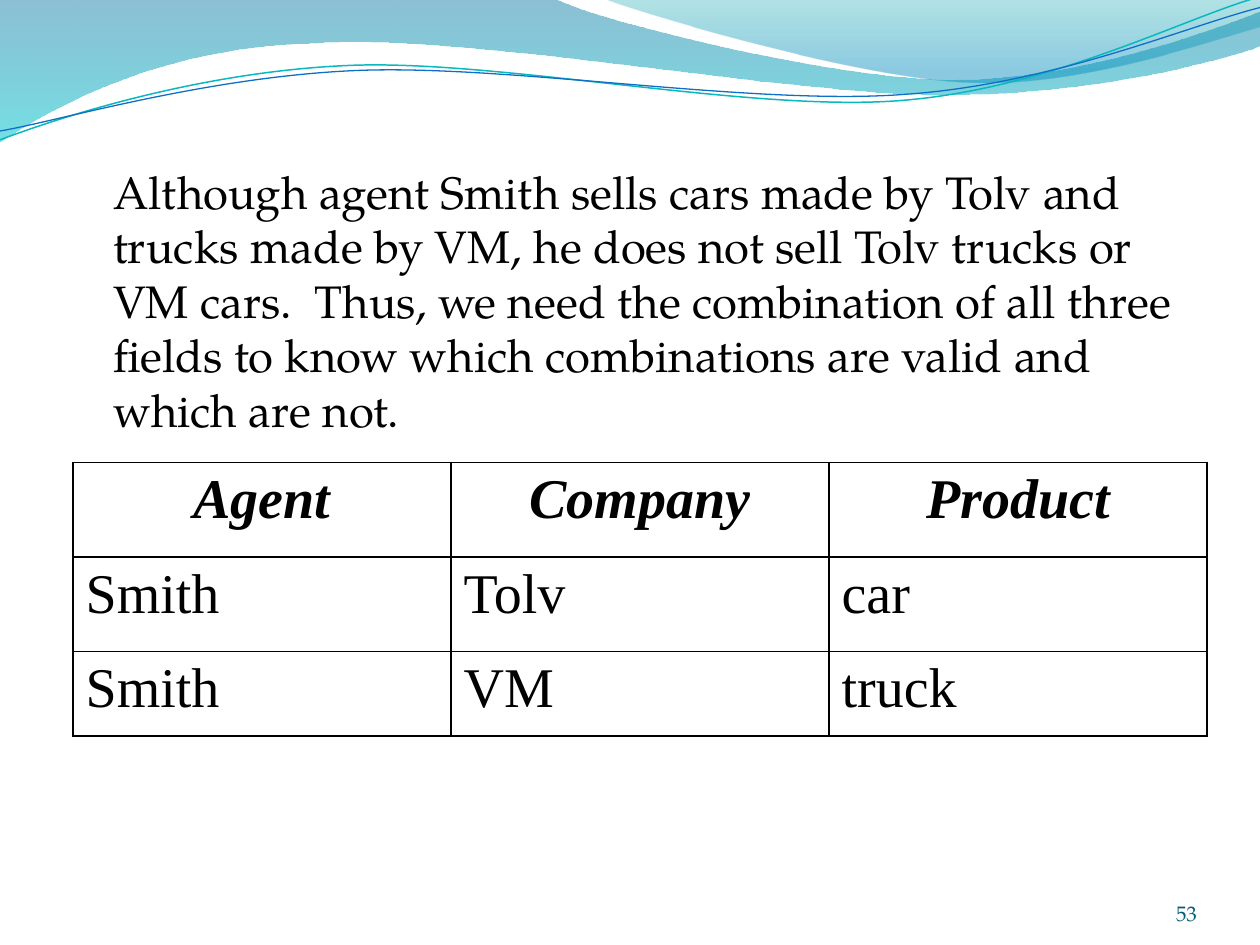
from lxml.etree import SubElement
from pptx import Presentation
from pptx.dml.color import RGBColor
from pptx.enum.text import MSO_ANCHOR, PP_ALIGN
from pptx.oxml.ns import qn
from pptx.util import Inches, Pt

COLORS = {
    "text": "000000", "border": "000000", "number": "045D75",
    "deep_blue": "0074A1", "cyan": "00C6CF", "teal": "00A1A9", "sky": "008BBF",
    "teal_line": "0AB8BF", "blue_line": "0F6FC6",
}
BODY_FONT = "TeX Gyre Pagella"
TABLE_FONT = "Times New Roman"

# Outlines in inches: a start point, then one point per line or three per Bézier curve
WIDE_WAVE = [[(0, 0)], [(4.4, -0.01)],
             [(4.76, 0.17), (6.64, 0.63), (7.58, 0.63)],
             [(8.53, 0.63), (9.58, 0.26), (10, 0.09)], [(10.01, 0.36)],
             [(9.83, 0.44), (8.7, 0.76), (7.46, 0.75)],
             [(6.22, 0.75), (3.82, 0.28), (2.57, 0.34)],
             [(1.29, 0.36), (0.46, 0.83), (-0.01, 1.13)]]
RIGHT_WAVE = [[(4.79, -0.01)],
              [(5.09, 0.11), (6.82, 0.62), (7.69, 0.65)],
              [(8.56, 0.69), (9.61, 0.32), (10, 0.21)], [(10, 0)]]
TEAL_CURVE = [[(0, 1.11)],
              [(0.48, 0.93), (1.58, 0.57), (2.77, 0.52)],
              [(3.95, 0.47), (5.93, 0.89), (7.13, 0.8)],
              [(8.33, 0.71), (9.38, 0.15), (9.98, -0.02)]]
BLUE_CURVE = [[(0, 1.04)],
              [(0.47, 0.96), (1.64, 0.61), (2.83, 0.56)],
              [(4.03, 0.51), (5.97, 0.84), (7.17, 0.75)],
              [(8.36, 0.67), (9.41, 0.21), (10, 0.06)]]

EXPLANATION = ("Although agent Smith sells cars made by Tolv and trucks made by VM, "
               "he does not sell Tolv trucks or VM cars.  Thus, we need the combination "
               "of all three fields to know which combinations are valid and which are not.")
SALES = [("Agent", "Company", "Product"),
         ("Smith", "Tolv", "car"),
         ("Smith", "VM", "truck")]


def rgb(name):
    return RGBColor.from_string(COLORS[name])


def add_run(paragraph, text, font_name, size, color):
    run = paragraph.add_run()
    run.text = text
    run.font.name = font_name
    run.font.size = Pt(size)
    run.font.color.rgb = rgb(color)
    return run


def add_outline(slide, left, top, outline, closed):
    points = [(left + Inches(x), top + Inches(y))
              for segment in outline for x, y in segment]
    builder = slide.shapes.build_freeform(*points[0])
    builder.add_line_segments(points[1:], close=closed)
    shape = builder.convert_to_shape()
    shape.shadow.inherit = False
    # Join each three points of a curve into one Bézier segment
    lines = iter(list(shape._element.iter(qn("a:lnTo"))))
    for segment in outline[1:]:
        group = [next(lines) for _ in segment]
        if len(group) == 3:
            bezier = group[0].makeelement(qn("a:cubicBezTo"), {})
            group[0].addprevious(bezier)
            for line in group:
                bezier.append(line[0])
                line.getparent().remove(line)
    return shape


def add_wave(slide, left, top, outline, stops):
    wave = add_outline(slide, left, top, outline, closed=True)
    wave.line.fill.background()
    wave.fill.gradient()
    gradient = wave._element.spPr.find(qn("a:gradFill"))
    for child in list(gradient):
        gradient.remove(child)
    stop_list = SubElement(gradient, qn("a:gsLst"))
    for position, color, opacity in stops:
        stop = SubElement(stop_list, qn("a:gs"), pos=str(position * 1000))
        value = SubElement(stop, qn("a:srgbClr"), val=COLORS[color])
        SubElement(value, qn("a:alpha"), val=str(opacity * 1000))
    SubElement(gradient, qn("a:lin"), ang="5400000", scaled="0")


def add_curve(slide, left, top, outline, color, width):
    curve = add_outline(slide, left, top, outline, closed=False)
    curve.fill.background()
    curve.line.color.rgb = rgb(color)
    curve.line.width = Pt(width)


def add_wave_banner(slide, left, top):
    add_wave(slide, left, top, WIDE_WAVE, [(0, "deep_blue", 45), (100, "cyan", 55)])
    add_wave(slide, left, top, RIGHT_WAVE, [(0, "teal", 30), (80, "sky", 45)])
    add_curve(slide, left, top, TEAL_CURVE, "teal_line", 0.85)
    add_curve(slide, left, top, BLUE_CURVE, "blue_line", 0.75)


def add_explanation(slide, left, top, width, height):
    frame = slide.shapes.add_textbox(left, top, width, height).text_frame
    frame.word_wrap = True
    paragraph = frame.paragraphs[0]
    paragraph.space_before = Pt(5)
    paragraph._p.get_or_add_pPr().set("marL", str(Inches(0.3)))
    add_run(paragraph, EXPLANATION, BODY_FONT, 26, "text")


def add_cell_borders(cell):
    properties = cell._tc.get_or_add_tcPr()
    for index, side in enumerate(("a:lnL", "a:lnR", "a:lnT", "a:lnB")):
        border = properties.makeelement(qn(side), {"w": str(Pt(1))})
        fill = SubElement(border, qn("a:solidFill"))
        SubElement(fill, qn("a:srgbClr"), val=COLORS["border"])
        properties.insert(index, border)


def add_sales_table(slide, left, top, width, row_heights):
    table = slide.shapes.add_table(len(SALES), len(SALES[0]), left, top,
                                   width, sum(row_heights)).table
    table.first_row = table.horz_banding = False
    for row, height in zip(table.rows, row_heights):
        row.height = height
    for row_index, record in enumerate(SALES):
        is_header = row_index == 0
        for column_index, value in enumerate(record):
            cell = table.cell(row_index, column_index)
            cell.fill.background()
            add_cell_borders(cell)
            paragraph = cell.text_frame.paragraphs[0]
            paragraph.alignment = PP_ALIGN.CENTER if is_header else PP_ALIGN.LEFT
            run = add_run(paragraph, value, TABLE_FONT, 32, "text")
            run.font.bold = run.font.italic = is_header


def add_slide_number(slide, left, top, width, height):
    frame = slide.shapes.add_textbox(left, top, width, height).text_frame
    frame.word_wrap = True
    frame.margin_left = frame.margin_right = frame.margin_top = frame.margin_bottom = 0
    frame.vertical_anchor = MSO_ANCHOR.BOTTOM
    frame.paragraphs[0].alignment = PP_ALIGN.RIGHT
    add_run(frame.paragraphs[0], "53", BODY_FONT, 12, "number")


def main():
    presentation = Presentation()
    presentation.slide_width, presentation.slide_height = Inches(10), Inches(7.5)
    slide = presentation.slides.add_slide(presentation.slide_layouts[6])
    add_wave_banner(slide, 0, 0)
    add_slide_number(slide, Inches(8.67), Inches(6.95), Inches(0.83), Inches(0.4))
    add_explanation(slide, Inches(0.5), Inches(1.25), Inches(9), Inches(2.25))
    add_sales_table(slide, Inches(0.58), Inches(3.67), Inches(9),
                    [Inches(0.75), Inches(0.75), Inches(0.67)])
    presentation.save("out.pptx")


if __name__ == "__main__":
    main()
